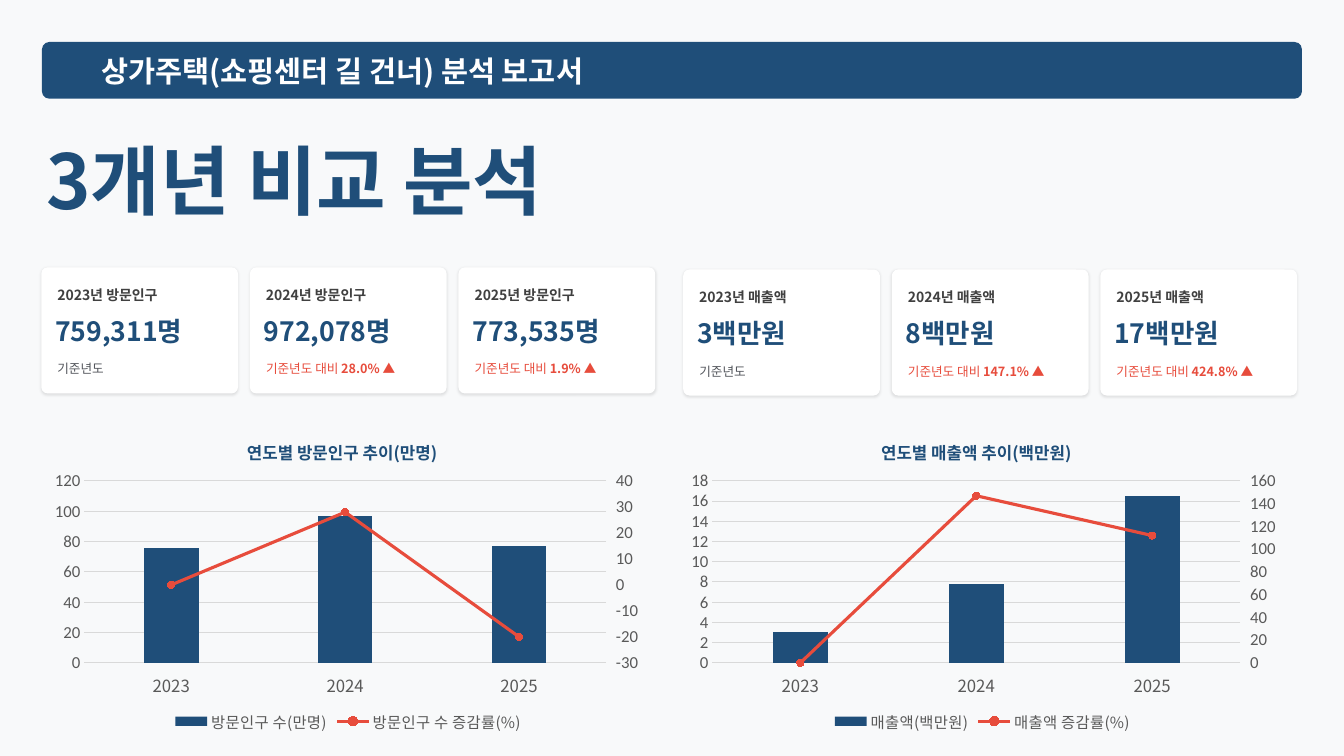
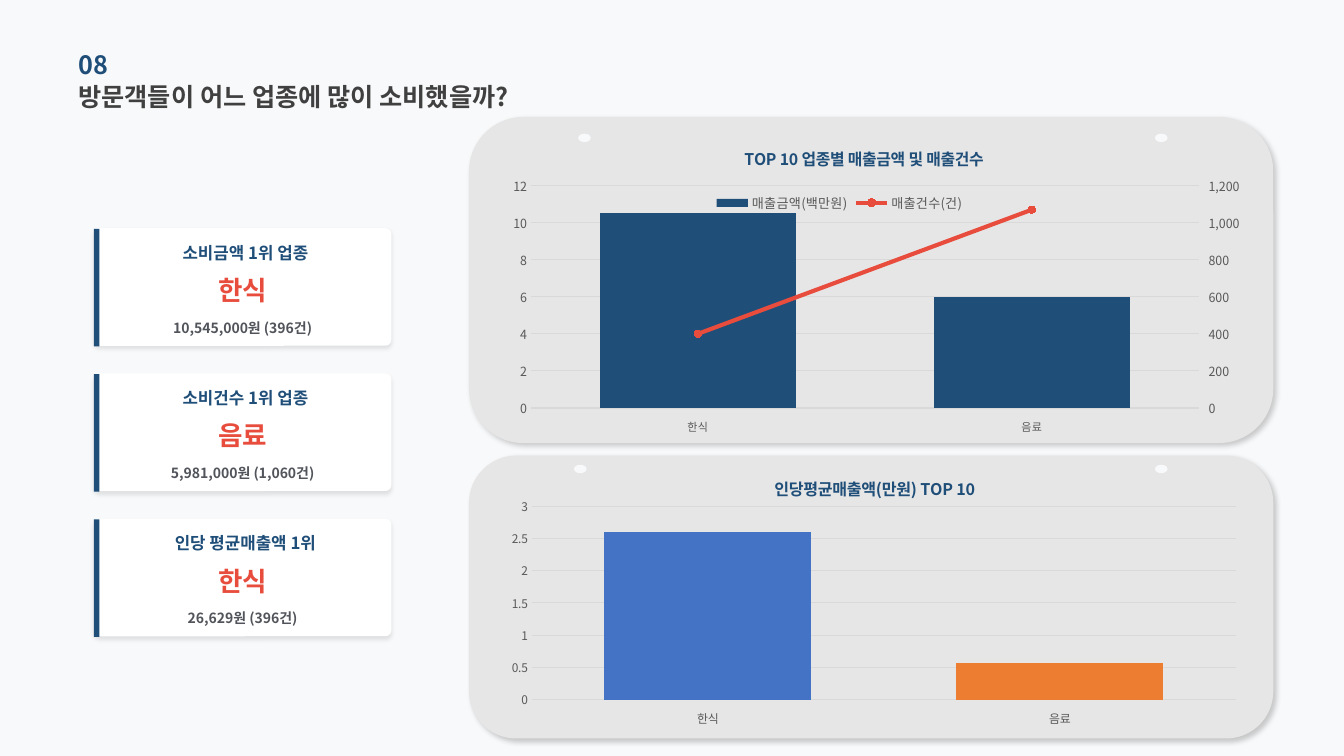
from lxml import etree
from pptx import Presentation
from pptx.chart import axis as chart_axis
from pptx.chart import data as chart_data
from pptx.dml.color import RGBColor
from pptx.enum import chart as chart_enum
from pptx.enum import shapes, text
from pptx.oxml import ns, parse_xml
from pptx.util import Pt

PAPER = RGBColor(0xF8, 0xF9, 0xFA)
WHITE = RGBColor(0xFF, 0xFF, 0xFF)
PANEL = RGBColor(0xE7, 0xE6, 0xE6)
GRID = RGBColor(0xD9, 0xD9, 0xD9)
NAVY = RGBColor(0x1F, 0x4E, 0x79)
RED = RGBColor(0xE7, 0x4C, 0x3C)
DARK = RGBColor(0x40, 0x40, 0x40)
MUTED = RGBColor(0x51, 0x54, 0x5A)
AXIS_TEXT = RGBColor(0x59, 0x59, 0x59)
BLUE = RGBColor(0x44, 0x72, 0xC4)
ORANGE = RGBColor(0xED, 0x7D, 0x31)

KOREAN = "Noto Sans CJK KR"
LATIN = "Calibri"
ROUNDED = shapes.MSO_SHAPE.ROUNDED_RECTANGLE

# Shadows: opacity in percent, blur and distance in points, direction in degrees
CARD_SHADOW = (10, 2, 1, 90)
RESULT_SHADOW = (10, 3, 2, 90)
PANEL_SHADOW = (20, 4, 3, 45)


def set_font(font, size, color, bold=False, name=KOREAN):
    font.size, font.bold = Pt(size), bold
    font.color.rgb = color
    font.name = name
    properties = font._rPr
    for old in properties.findall(ns.qn("a:ea")):
        properties.remove(old)
    properties.find(ns.qn("a:latin")).addnext(
        parse_xml(f'<a:ea {ns.nsdecls("a")} typeface="{KOREAN}"/>'))


def write(shape, content, size, color, bold=True, centered=False, inset=0):
    """Fill a shape with one paragraph and return that paragraph."""
    frame = shape.text_frame
    frame.word_wrap = True
    frame.auto_size = text.MSO_AUTO_SIZE.NONE
    frame.vertical_anchor = text.MSO_ANCHOR.MIDDLE
    frame.margin_left = Pt(inset)
    frame.margin_top = frame.margin_right = frame.margin_bottom = 0
    paragraph = frame.paragraphs[0]
    paragraph.text = content
    paragraph.alignment = text.PP_ALIGN.CENTER if centered else text.PP_ALIGN.LEFT
    set_font(paragraph.font, size, color, bold)
    return paragraph


def add_text(container, box, content, size, color, **style):
    return write(container.add_textbox(*map(Pt, box)), content, size, color, **style)


def add_box(container, kind, box, fill, radius=None, shadow=None):
    shape = container.add_shape(kind, *map(Pt, box))
    shape.fill.solid()
    shape.fill.fore_color.rgb = fill
    shape.line.fill.background()
    shape.shadow.inherit = False
    if radius is not None:
        shape.adjustments[0] = radius
    if shadow:
        opacity, blur, distance, angle = shadow
        effects = shape._element.spPr.find(ns.qn("a:effectLst"))
        effects.append(parse_xml(
            f'<a:outerShdw {ns.nsdecls("a")} blurRad="{Pt(blur)}" dist="{Pt(distance)}" '
            f'dir="{angle * 60000}" algn="ctr" rotWithShape="0"><a:srgbClr val="000000">'
            f'<a:alpha val="{opacity * 1000}"/></a:srgbClr></a:outerShdw>'))
    return shape


def place_title(slide, box, content, size, color):
    title = slide.shapes.title
    title.left, title.top, title.width, title.height = map(Pt, box)
    write(title, content, size, color)


# Charts

def set_layout(element, previous, **fractions):
    """Position a chart part by fractions of the chart, after its child named previous."""
    for old in element.findall(ns.qn("c:layout")):
        element.remove(old)
    layout = etree.Element(ns.qn("c:layout"))
    manual = etree.SubElement(layout, ns.qn("c:manualLayout"))
    values = {"xMode": "edge", "yMode": "edge", **fractions}
    if "w" in fractions:
        values = {"layoutTarget": "inner", **values}
    for name, value in values.items():
        etree.SubElement(manual, ns.qn("c:" + name)).set("val", str(value))
    if previous:
        element.find(ns.qn(previous)).addnext(layout)
    else:
        element.insert(0, layout)


def style_value_axis(axis, scale, size, font_name, number_format):
    axis.minimum_scale, axis.maximum_scale, axis.major_unit = scale
    axis.format.line.fill.background()
    axis.tick_labels.number_format = number_format
    axis.tick_labels.number_format_is_linked = False
    set_font(axis.tick_labels.font, size, AXIS_TEXT, name=font_name)


def add_rate_line(chart, line_width):
    """Move the second series to a line on a right-hand axis, which is returned."""
    plot_area = chart.element.find(".//" + ns.qn("c:plotArea"))
    bars = plot_area.find(ns.qn("c:barChart"))
    series_element = bars.findall(ns.qn("c:ser"))[1]
    for bar_only in series_element.findall(ns.qn("c:invertIfNegative")):
        series_element.remove(bar_only)
    line_chart = parse_xml(
        f'<c:lineChart {ns.nsdecls("c")}><c:grouping val="standard"/><c:varyColors val="0"/>'
        '<c:marker val="1"/><c:axId val="501"/><c:axId val="502"/></c:lineChart>')
    line_chart.insert(2, series_element)
    bars.addnext(line_chart)
    hidden_axis, right_axis = (parse_xml(
        f'<c:{kind} {ns.nsdecls("c")}><c:axId val="{own}"/><c:scaling>'
        f'<c:orientation val="minMax"/></c:scaling><c:delete val="{deleted}"/>'
        f'<c:axPos val="{side}"/><c:majorTickMark val="out"/><c:minorTickMark val="none"/>'
        f'<c:tickLblPos val="nextTo"/><c:crossAx val="{other}"/>'
        f'<c:crosses val="{crosses}"/></c:{kind}>')
        for kind, own, deleted, side, other, crosses in (
            ("catAx", 501, 1, "b", 502, "autoZero"),
            ("valAx", 502, 0, "r", 501, "max")))
    plot_area.findall(ns.qn("c:valAx"))[-1].addnext(hidden_axis)
    hidden_axis.addnext(right_axis)

    series = chart.plots[1].series[0]
    series.smooth = False
    series.format.line.color.rgb = RED
    series.format.line.width = Pt(line_width)
    series.marker.style = chart_enum.XL_MARKER_STYLE.CIRCLE
    series.marker.size = 5
    series.marker.format.fill.solid()
    series.marker.format.fill.fore_color.rgb = RED
    series.marker.format.line.color.rgb = RED
    return chart_axis.ValueAxis(right_axis)


def add_column_chart(slide, box, title, title_left, categories, series, plot, scales,
                     title_size=11.5, category_size=8, value_size=9, value_font=KOREAN,
                     number_format="#,##0", gap=70, overlap=-27, line_width=3,
                     point_colors=()):
    """Columns; a second series becomes a line, with the second scale on the right."""
    data = chart_data.CategoryChartData()
    data.categories = categories
    for name, values in series:
        data.add_series(name, values)
    chart = slide.shapes.add_chart(
        chart_enum.XL_CHART_TYPE.COLUMN_CLUSTERED, *map(Pt, box), data).chart
    chart.font.size, chart.font.name = Pt(10), LATIN
    chart.has_legend = False

    chart.has_title = True
    paragraph = chart.chart_title.text_frame.paragraphs[0]
    paragraph.text = title
    set_font(paragraph.font, title_size, NAVY, bold=True)
    set_layout(chart.element.find(".//" + ns.qn("c:title")), "c:tx", x=title_left, y=0.055)
    set_layout(chart.element.find(".//" + ns.qn("c:plotArea")), None,
               **dict(zip("xywh", plot)))

    columns = chart.plots[0]
    columns.vary_by_categories = False
    columns.gap_width, columns.overlap = gap, overlap
    column_fill = columns.series[0].format.fill
    column_fill.solid()
    column_fill.fore_color.rgb = NAVY
    for index, color in enumerate(point_colors):
        fill = columns.series[0].points[index].format.fill
        fill.solid()
        fill.fore_color.rgb = color

    category_axis, value_axis = chart.category_axis, chart.value_axis
    for axis in (category_axis, value_axis):
        axis.major_tick_mark = chart_enum.XL_TICK_MARK.NONE
    category_axis.tick_label_position = chart_enum.XL_TICK_LABEL_POSITION.LOW
    set_font(category_axis.tick_labels.font, category_size, AXIS_TEXT)
    value_axis.has_major_gridlines = True
    for line in (category_axis.format.line, value_axis.major_gridlines.format.line):
        line.color.rgb = GRID
        line.width = Pt(0.75)

    value_axes = [value_axis]
    if len(series) > 1:
        value_axes.append(add_rate_line(chart, line_width))
    for axis, scale in zip(value_axes, scales):
        style_value_axis(axis, scale, value_size, value_font, number_format)
    return chart


def add_legend(chart, position, size):
    chart.has_legend = True
    chart.legend.position = position
    chart.legend.include_in_layout = False
    set_font(chart.legend.font, size, AXIS_TEXT)


# Slide regions

def add_banner(slide, box, content):
    banner = add_box(slide.shapes, ROUNDED, box, NAVY, radius=0.13)
    write(banner, content, 21, WHITE, inset=41)


def add_figure_card(slide, left, top, label, label_width, value, change):
    add_box(slide.shapes, ROUNDED, (left, top, 140.5, 90), WHITE, 0.05, CARD_SHADOW)
    add_text(slide.shapes, (left + 11.5, top + 13, label_width, 13), label, 10, DARK)
    add_text(slide.shapes, (left + 10, top + 35, 138, 21), value, 19, NAVY)
    note = add_text(slide.shapes, (left + 11.5, top + 65, 126, 15),
                    "기준년도 대비 " if change else "기준년도", 9,
                    RED if change else MUTED, bold=False)
    if change:
        run = note.add_run()
        run.text = change
        run.font.bold = True


def add_result_card(slide, left, top, label, value, detail):
    group = slide.shapes.add_group_shape().shapes
    width = 212.5
    add_box(group, ROUNDED, (left, top, width, 84), WHITE, 0.05, RESULT_SHADOW)
    add_text(group, (left + 2, top + 9.5, width, 16), label, 12, NAVY, centered=True)
    add_text(group, (left, top + 32, width, 24.5), value, 19, RED, centered=True)
    add_text(group, (left, top + 65, width, 12), detail, 10, MUTED, centered=True)
    add_box(group, shapes.MSO_SHAPE.RECTANGLE, (left, top + 0.5, 4, 84), NAVY)


def add_pinned_panel(slide, box, pin_lefts, pin_drop):
    add_box(slide.shapes, ROUNDED, box, PANEL, shadow=PANEL_SHADOW)
    for pin_left in pin_lefts:
        add_box(slide.shapes, shapes.MSO_SHAPE.OVAL,
                (box[0] + pin_left, box[1] + pin_drop, 9, 6), PAPER)


def build_comparison(slide):
    place_title(slide, (33, 88.5, 455, 78.5), "3개년 비교 분석", 54, NAVY)
    add_banner(slide, (30, 30, 900, 40.5), "상가주택(쇼핑센터 길 건너) 분석 보고서")
    card_rows = (
        (29.5, 191, (("2023년 방문인구", 80, "759,311명", None),
                     ("2024년 방문인구", 80, "972,078명", "28.0% ▲"),
                     ("2025년 방문인구", 72, "773,535명", "1.9% ▲"))),
        (488, 192.5, (("2023년 매출액", 80, "3백만원", None),
                      ("2024년 매출액", 80, "8백만원", "147.1% ▲"),
                      ("2025년 매출액", 80, "17백만원", "424.8% ▲"))))
    for left, top, cards in card_rows:
        for index, card in enumerate(cards):
            add_figure_card(slide, left + 149 * index, top, *card)

    trends = (
        (29.5, "연도별 방문인구 추이(만명)",
         (("방문인구 수(만명)", (76, 97, 77)), ("방문인구 수 증감률(%)", (0, 28, -20))),
         (0.07, 0.2, 0.85, 0.57), ((0, 120, 20), (-30, 40, 10))),
        (482.5, "연도별 매출액 추이(백만원)",
         (("매출액(백만원)", (3.1, 7.8, 16.5)), ("매출액 증감률(%)", (0, 147, 112))),
         (0.06, 0.2, 0.86, 0.57), ((0, 18, 2), (0, 160, 20))))
    for left, title, series, plot, scales in trends:
        chart = add_column_chart(
            slide, (left, 298, 438.5, 228), title, 0.33, ("2023", "2024", "2025"), series,
            plot, scales, title_size=12, category_size=12, value_size=12,
            value_font=LATIN, gap=219, overlap=0, line_width=2.25)
        add_legend(chart, chart_enum.XL_LEGEND_POSITION.BOTTOM, 11)


def build_spending(slide):
    place_title(slide, (56, 54, 325.5, 29.5), "방문객들이 어느 업종에 많이 소비했을까?", 18, DARK)
    add_text(slide.shapes, (56, 31.5, 325.5, 29.5), "08", 18, NAVY)
    results = (("소비금액 1위 업종", "한식", "10,545,000원 (396건)"),
               ("소비건수 1위 업종", "음료", "5,981,000원 (1,060건)"),
               ("인당 평균매출액 1위", "한식", "26,629원 (396건)"))
    for index, result in enumerate(results):
        add_result_card(slide, 67, 163 + 103.75 * index, *result)

    add_pinned_panel(slide, (335, 83.5, 574.5, 233), (78, 490), 12)
    add_pinned_panel(slide, (335, 325.5, 574.5, 202), (75, 490), 6.5)
    categories = ("한식", "음료")
    sales = add_column_chart(
        slide, (358.5, 89.5, 527, 227), "TOP 10 업종별 매출금액 및 매출건수", 0.33, categories,
        (("매출금액(백만원)", (10.5, 6)), ("매출건수(건)", (400, 1070))),
        (0.04, 0.19, 0.92, 0.7), ((0, 12, 2), (0, 1200, 200)))
    add_legend(sales, chart_enum.XL_LEGEND_POSITION.TOP, 9.5)
    set_layout(sales.legend._element, "c:legendPos", x=0.29, y=0.2)
    add_column_chart(
        slide, (358.5, 327, 535, 192), "인당평균매출액(만원) TOP 10", 0.36, categories,
        (("인당평균매출액(만원)", (2.6, 0.56)),), (0.04, 0.18, 0.94, 0.72), ((0, 3, 0.5),),
        category_size=8.5, value_size=8.5, number_format="General",
        point_colors=(BLUE, ORANGE))


def main():
    presentation = Presentation()
    presentation.slide_width, presentation.slide_height = Pt(960), Pt(540)
    background = presentation.slide_master.background.fill
    background.solid()
    background.fore_color.rgb = PAPER
    title_only = presentation.slide_layouts[5]
    for build in (build_comparison, build_spending):
        build(presentation.slides.add_slide(title_only))
    presentation.save("out.pptx")


if __name__ == "__main__":
    main()
